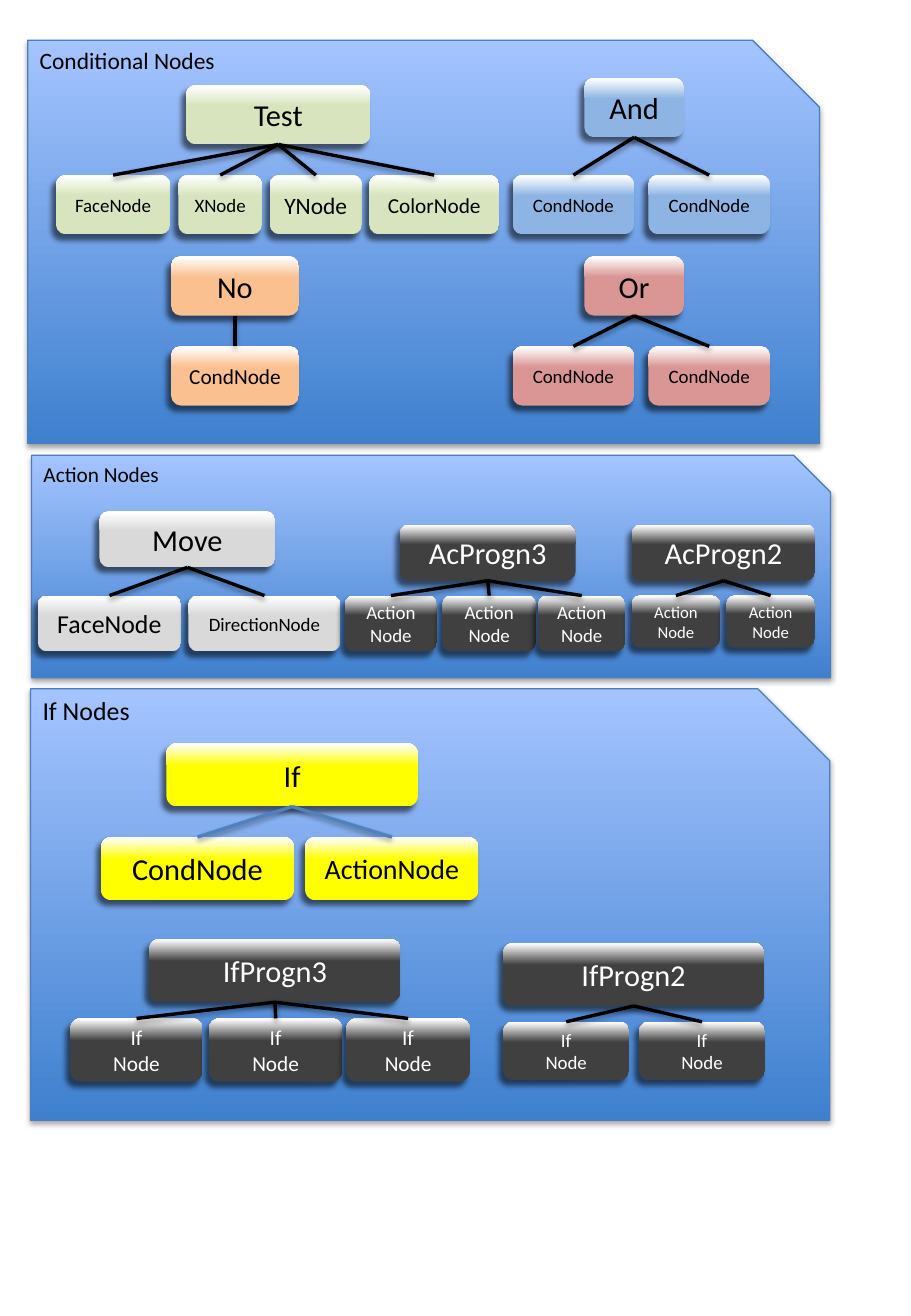
"""Draw the node types of a behaviour tree in three panels."""
from lxml import etree
from pptx import Presentation
from pptx import util as u
from pptx.dml.color import RGBColor
from pptx.enum import shapes, text
from pptx.oxml import ns

BLACK = RGBColor(0x00, 0x00, 0x00)
WHITE = RGBColor(0xFF, 0xFF, 0xFF)
PANEL_DARK = RGBColor(0x3F, 0x80, 0xCE)
PANEL_LIGHT = RGBColor(0xA4, 0xC4, 0xFF)
PANEL_EDGE = RGBColor(0x4B, 0x7E, 0xBC)
LINK_BLUE = RGBColor(0x4F, 0x81, 0xBD)
GREEN = RGBColor(0xD7, 0xE4, 0xBD)
BLUE = RGBColor(0x8E, 0xB4, 0xE3)
RED = RGBColor(0xD9, 0x96, 0x94)
ORANGE = RGBColor(0xFA, 0xC0, 0x90)
GREY = RGBColor(0xD9, 0xD9, 0xD9)
DARK = RGBColor(0x40, 0x40, 0x40)
YELLOW = RGBColor(0xFF, 0xFF, 0x00)

# Shadows: opacity in %, blur and distance in points, direction in degrees
PANEL_SHADOW = (35, 3.1, 1.8, 90)
NODE_SHADOW = (54, 3.2, 4, 128)
LINK_SHADOW = (38, 3.1, 1.6, 90)


class NodeSlide:
    """Holds the style and the current slide; panels are groups on it."""

    font = "Calibri"
    root_size = 18
    link_width = 2

    def __init__(self, prs):
        """Add a blank slide to the presentation."""
        self.slide = prs.slides.add_slide(prs.slide_layouts[6])
        self.shapes = self.slide.shapes

    def set_text(self, sp, words, size, color, align):
        """Write the words and format every run."""
        tf = sp.text_frame
        tf.text = words
        for p in tf.paragraphs:
            p.alignment = align
            for r in p.runs:
                r.font.name = self.font
                r.font.size = u.Pt(size)
                r.font.color.rgb = color

    def set_gradient(self, sp, low, high, start, end):
        """Fill from the low colour at the bottom to the high one on top."""
        sp.fill.gradient()
        sp.fill.gradient_angle = 90
        stops = zip(sp.fill.gradient_stops, (low, high), (start, end))
        for stop, color, position in stops:
            stop.color.rgb = color
            stop.position = position

    def set_shadow(self, sp, opacity, blur, distance, direction):
        """Replace the theme's shadow by a black outer one."""
        spPr = sp._element.spPr
        if hasattr(sp, "shadow"):
            sp.shadow.inherit = False
            effects = spPr.find(ns.qn("a:effectLst"))
        else:
            effects = etree.SubElement(spPr, ns.qn("a:effectLst"))
        outer = etree.SubElement(
            effects, ns.qn("a:outerShdw"), blurRad=str(u.Pt(blur)),
            dist=str(u.Pt(distance)), dir=str(direction * 60000),
            rotWithShape="0")
        color = etree.SubElement(outer, ns.qn("a:srgbClr"), val=str(BLACK))
        etree.SubElement(color, ns.qn("a:alpha"), val=str(opacity * 1000))

    def panel(self, title, size, box, title_box):
        """Start a group with a snipped background and a title."""
        self.shapes = self.slide.shapes.add_group_shape().shapes
        left, top, width, height = map(u.Cm, box)
        sp = self.shapes.add_shape(
            shapes.MSO_SHAPE.SNIP_1_RECTANGLE, left, top, width, height)
        self.set_gradient(sp, PANEL_DARK, PANEL_LIGHT, 0, 1)
        sp.line.color.rgb = PANEL_EDGE
        sp.line.width = u.Pt(0.75)
        self.set_shadow(sp, *PANEL_SHADOW)
        label = self.shapes.add_textbox(left, top, *map(u.Cm, title_box))
        label.text_frame.word_wrap = True
        self.set_text(label, title, size, BLACK, text.PP_ALIGN.LEFT)

    def node(self, words, size, fill, left, top, width, height):
        """Add a glossy rounded box with centred text."""
        sp = self.shapes.add_shape(
            shapes.MSO_SHAPE.ROUNDED_RECTANGLE,
            *map(u.Cm, (left, top, width, height)))
        self.set_gradient(sp, fill, WHITE, 0.65, 0.99)
        sp.line.fill.background()
        self.set_shadow(sp, *NODE_SHADOW)
        tf = sp.text_frame
        tf.margin_left = tf.margin_right = 0
        tf.vertical_anchor = text.MSO_ANCHOR.MIDDLE
        color = WHITE if fill == DARK else BLACK
        self.set_text(sp, words, size, color, text.PP_ALIGN.CENTER)
        return sp

    def link(self, parent, child, color):
        """Join the bottom of the parent to the top of the child."""
        line = self.shapes.add_connector(
            shapes.MSO_CONNECTOR.STRAIGHT, 0, 0, 0, 0)
        line.begin_connect(parent, 2)
        line.end_connect(child, 0)
        line.line.color.rgb = color
        line.line.width = u.Pt(self.link_width)
        self.set_shadow(line, *LINK_SHADOW)

    def tree(self, name, fill, root, height, child_top, children,
             child_height=None, link_color=BLACK):
        """Add a root (left, top, width), its children and their links."""
        parent = self.node(name, self.root_size, fill, *root, height)
        nodes = [self.node(words, size, fill, left, child_top, width,
                           child_height or height)
                 for words, size, left, width in children]
        for child in nodes:
            self.link(parent, child, link_color)


def row(words, size, *spans):
    """Give children with the same words a (left, width) span each."""
    return [(words, size, left, width) for left, width in spans]


def conditional_panel(s):
    """Draw the test, and, or and no nodes."""
    s.panel("Conditional Nodes", 13.9, (0.58, 0.84, 16.56, 8.43), (4.6, 0.76))
    height, upper, lower = 1.24, 3.66, 7.24
    s.tree("Test", GREEN, (3.89, 1.78, 3.86), height, upper, [
        ("FaceNode", 11.2, 1.17, 2.39), ("XNode", 11.2, 3.73, 1.75),
        ("YNode", 13.9, 5.64, 1.93), ("ColorNode", 12.6, 7.72, 2.72)])
    pair = row("CondNode", 11.2, (10.72, 2.54), (13.56, 2.54))
    s.tree("And", BLUE, (12.22, 1.63, 2.08), height, upper, pair)
    s.tree("Or", RED, (12.22, 5.36, 2.08), height, lower, pair)
    s.tree("No", ORANGE, (3.58, 5.36, 2.67), height, lower,
           row("CondNode", 12.6, (3.58, 2.67)))


def action_panel(s):
    """Draw the move and action sequence nodes."""
    s.panel("Action Nodes", 12.6, (0.66, 9.52, 16.71, 4.65), (3.6, 0.71))
    height, child_top, words = 1.17, 12.45, "Action\nNode"
    s.tree("Move", GREY, (2.08, 10.69, 3.68), height, child_top, [
        ("FaceNode", 15.3, 0.79, 3), ("DirectionNode", 11.2, 3.94, 3.18)])
    s.tree("AcProgn3", DARK, (8.36, 10.97, 3.68), height, child_top,
           row(words, 11.2, (7.21, 1.93), (9.25, 1.96), (11.25, 1.83)))
    s.tree("AcProgn2", DARK, (13.21, 10.97, 3.84), height, child_top,
           row(words, 9.9, (13.21, 1.85), (15.19, 1.85)), child_height=1.09)


def if_panel(s):
    """Draw the if and if sequence nodes."""
    s.panel("If Nodes", 15.3, (0.64, 14.4, 16.71, 9.02), (5.51, 0.79))
    height, words = 1.32, "If\nNode"
    s.tree("If", YELLOW, (3.48, 15.54, 5.26), height, 17.5, [
        ("CondNode", 18, 2.11, 4.04), ("ActionNode", 16.6, 6.38, 3.63)],
        link_color=LINK_BLUE)
    s.tree("IfProgn3", DARK, (3.12, 19.63, 5.26), height, 21.29,
           row(words, 12.6, (1.47, 2.77), (4.37, 2.79), (7.24, 2.59)))
    s.tree("IfProgn2", DARK, (10.52, 19.71, 5.46), height, 21.36,
           row(words, 11.2, (10.52, 2.64), (13.36, 2.64)), child_height=1.22)


def main():
    """Build the slide and save it."""
    prs = Presentation()
    prs.slide_width, prs.slide_height = u.Cm(19.05), u.Cm(27.51)
    s = NodeSlide(prs)
    for draw in (conditional_panel, action_panel, if_panel):
        draw(s)
    prs.save("out.pptx")


main()
